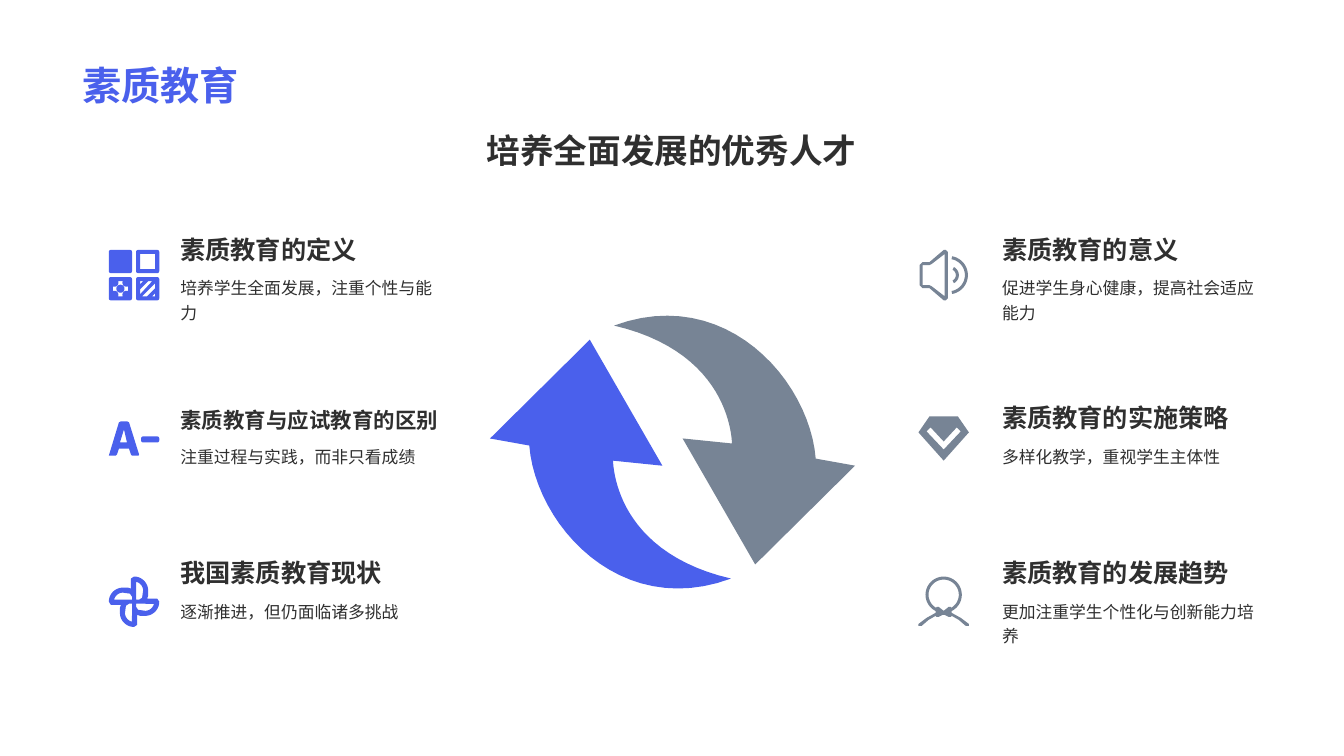
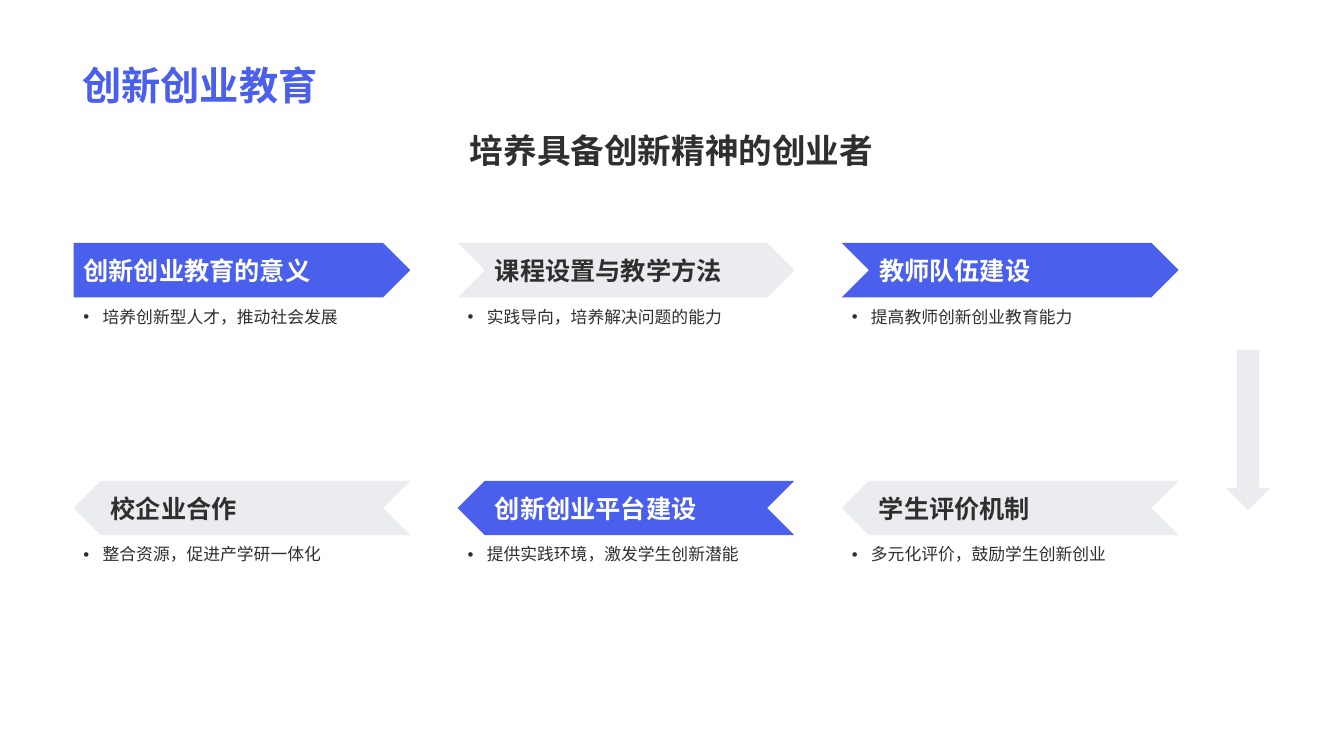
from dataclasses import dataclass
from math import cos, radians, sin

from lxml import etree
from pptx import Presentation
from pptx.dml.color import RGBColor
from pptx.enum.shapes import MSO_SHAPE
from pptx.enum.text import MSO_ANCHOR, PP_ALIGN
from pptx.oxml.ns import qn
from pptx.util import Inches, Pt

TOP, MIDDLE, BOTTOM = MSO_ANCHOR.TOP, MSO_ANCHOR.MIDDLE, MSO_ANCHOR.BOTTOM
LEFT, CENTER = PP_ALIGN.LEFT, PP_ALIGN.CENTER
PENTAGON, CHEVRON = MSO_SHAPE.PENTAGON, MSO_SHAPE.CHEVRON
DOWN_ARROW = MSO_SHAPE.DOWN_ARROW


@dataclass(frozen=True)
class Theme:
    font: str = "Arial"
    blue: RGBColor = RGBColor(0x4A, 0x60, 0xEC)
    slate: RGBColor = RGBColor(0x77, 0x84, 0x95)
    ink: RGBColor = RGBColor(0x2F, 0x2F, 0x2F)
    white: RGBColor = RGBColor(0xFF, 0xFF, 0xFF)
    pale_opacity: int = 15
    title: float = 28
    subtitle: float = 24
    heading: float = 18
    small_heading: float = 15.3
    body: float = 12
    body_spacing: float = 1.2
    tight_spacing: float = 0.85


THEME = Theme()

# Content

QUALITY_TITLE = "素质教育"
QUALITY_SUBTITLE = "培养全面发展的优秀人才"
QUALITY_LEFT = [
    ("tiles", "素质教育的定义", "培养学生全面发展，注重个性与能力"),
    ("grade", "素质教育与应试教育的区别", "注重过程与实践，而非只看成绩"),
    ("pinwheel", "我国素质教育现状", "逐渐推进，但仍面临诸多挑战"),
]
QUALITY_RIGHT = [
    ("speaker", "素质教育的意义", "促进学生身心健康，提高社会适应能力"),
    ("gem", "素质教育的实施策略", "多样化教学，重视学生主体性"),
    ("person", "素质教育的发展趋势", "更加注重学生个性化与创新能力培养"),
]

STARTUP_TITLE = "创新创业教育"
STARTUP_SUBTITLE = "培养具备创新精神的创业者"
STARTUP_STEPS = [
    [("创新创业教育的意义", "培养创新型人才，推动社会发展"),
     ("课程设置与教学方法", "实践导向，培养解决问题的能力"),
     ("教师队伍建设", "提高教师创新创业教育能力")],
    [("校企业合作", "整合资源，促进产学研一体化"),
     ("创新创业平台建设", "提供实践环境，激发学生创新潜能"),
     ("学生评价机制", "多元化评价，鼓励学生创新创业")],
]


# Geometry: an outline is a list of (x, y) points

def arc(cx, cy, radius, start, end, steps=24):
    angles = [radians(start + (end - start) * i / steps) for i in range(steps + 1)]
    return [(cx + radius * cos(a), cy + radius * sin(a)) for a in angles]


def bezier(p0, p1, p2, p3, steps=24):
    """Points on a cubic curve, without its first point."""
    def at(t):
        weights = ((1 - t) ** 3, 3 * t * (1 - t) ** 2, 3 * t * t * (1 - t), t ** 3)
        return tuple(sum(w * p[axis] for w, p in zip(weights, (p0, p1, p2, p3)))
                     for axis in (0, 1))
    return [at(i / steps) for i in range(1, steps + 1)]


def shift(outline, dx, dy):
    return [(x + dx, y + dy) for x, y in outline]


def quarter_turns(outline):
    """The outline at 0, 90, 180 and 270 degrees, clockwise."""
    turns = [outline]
    for _ in range(3):
        turns.append([(-y, x) for x, y in turns[-1]])
    return turns


def mirrored(half):
    """Close a right half with its reflection in the vertical axis."""
    return half + [(-x, y) for x, y in reversed(half)]


def rounded(cx, cy, half_w, half_h, radius=2):
    corners = [(1, 1, 0), (-1, 1, 90), (-1, -1, 180), (1, -1, 270)]
    return [point for sx, sy, angle in corners
            for point in arc(cx + sx * (half_w - radius), cy + sy * (half_h - radius),
                             radius, angle, angle + 90, 4)]


def wave(cx, outer, inner, angle):
    return arc(cx, 0, outer, -angle, angle) + arc(cx, 0, inner, angle, -angle)


# Icons, in hundredths of an inch around their centre; inner outlines are holes

def tiles_icon():
    off, inset = 13.5, 7.5
    tiles = [rounded(x, y, 11.5, 11.5) for x in (-off, off) for y in (-off, off)]
    window = [(-inset, -inset), (inset, -inset), (inset, inset), (-inset, inset)]
    bites = quarter_turns(arc(-6, -6, 4, 113, -23, 8))
    flower = [point for bite in bites for point in bite]
    stripes = [
        [(7.5, 4.5), (4.5, 7.5), (7.5, 7.5)],
        [(7.5, -5.5), (-5.5, 7.5), (-0.5, 7.5), (7.5, -0.5)],
        [(0.5, -7.5), (-7.5, 0.5), (-7.5, 5.5), (4.5, -7.5)],
        [(-7.5, -7.5), (-7.5, -4.5), (-4.5, -7.5)],
    ]
    return (tiles + [shift(window, off, -off), shift(flower, -off, off),
                     arc(-off, off, 4, 0, 360)]
            + [shift(stripe, off, off) for stripe in stripes])


def grade_icon():
    letter = [(-25, 17), (-15, -16), (-13, -17), (-7, -17), (-5, -16), (5, 16),
              (4.5, 17), (-2, 17), (-3, 16), (-5, 10), (-15, 10), (-17, 16), (-18, 17)]
    counter = [(-7, 4), (-10, -9), (-14, 4)]
    return [letter, counter, rounded(16, 1, 9, 3)]


def pinwheel_icon():
    blade = ([(-3, -13), (-3, -23), (0, -25)] + arc(0, -11, 14, -90, 0)
             + [(14, -6), (13, -3)])
    hole = [(2, -2), (5, -2), (8, -4)] + arc(0, -11, 9, 0, -77)
    rim = [point for turn in quarter_turns(blade) for point in turn]
    return [rim] + quarter_turns(hole)


def speaker_icon():
    cone = [(2, -25), (0, -25), (-14, -13), (-21, -13), (-24, -10), (-24, 10),
            (-21, 13), (-14, 13), (0, 25), (2, 25), (4, 23), (4, -23)]
    hollow = [(1, 21), (-12, 11), (-14, 10), (-21, 10), (-21, -10), (-14, -10),
              (-12, -11), (1, -21)]
    return [cone, hollow, wave(6, 9, 6, 63), wave(5, 19, 16, 80)]


def gem_icon():
    return [mirrored([(14, -22), (25, -6), (0, 22)]),
            mirrored([(0, 3), (13, -11), (17, -7), (0, 11)])]


def person_icon():
    body = mirrored(arc(0, -7, 18, -90, 64)
                    + [(8, 11), (17, 16), (25, 22), (25, 24), (22, 24), (15, 18),
                       (8, 14), (7, 15), (5, 15), (1, 13)])
    face = mirrored(arc(0, -7, 15, -90, 60) + [(7, 5), (5, 5), (0, 9)])
    return [body, face]


ICONS = {"tiles": tiles_icon, "grade": grade_icon, "pinwheel": pinwheel_icon,
         "speaker": speaker_icon, "gem": gem_icon, "person": person_icon}


# Drawing

def paint(shape, color, opacity=100):
    shape.shadow.inherit = False
    shape.line.fill.background()
    shape.fill.solid()
    shape.fill.fore_color.rgb = color
    if opacity < 100:
        rgb = shape.fill._xPr.find(".//" + qn("a:srgbClr"))
        etree.SubElement(rgb, qn("a:alpha")).set("val", str(opacity * 1000))


def draw_outlines(slide, outlines, color):
    """Fill outlines given in inches as one freeform."""
    outlines = [[(Inches(x), Inches(y)) for x, y in outline] for outline in outlines]
    builder = slide.shapes.build_freeform(*outlines[0][0])
    for outline in outlines:
        if outline is not outlines[0]:
            builder.move_to(*outline[0])
        builder.add_line_segments(outline[1:], close=True)
    paint(builder.convert_to_shape(), color)


def write(shape, text, size, color=THEME.ink, bold=False, anchor=TOP, align=LEFT,
          spacing=None, bullet=False):
    frame = shape.text_frame
    frame.word_wrap = True
    frame.vertical_anchor = anchor
    paragraph = frame.paragraphs[0]
    paragraph.text = text
    paragraph.alignment = align
    if spacing:
        paragraph.line_spacing = spacing
    if bullet:
        props = paragraph._p.get_or_add_pPr()
        props.set("marL", str(Inches(0.19)))
        props.set("indent", str(-Inches(0.19)))
        etree.SubElement(props, qn("a:buFont")).set("typeface", THEME.font)
        etree.SubElement(props, qn("a:buChar")).set("char", "•")
    font = paragraph.font
    font.name, font.size, font.bold = THEME.font, Pt(size), bold
    font.color.rgb = color


def add_text(slide, box, text, size, **style):
    write(slide.shapes.add_textbox(*map(Inches, box)), text, size, **style)


def add_slide(prs, title, subtitle, subtitle_height):
    slide = prs.slides.add_slide(prs.slide_layouts[6])
    add_text(slide, (0.72, 0.14, 11.88, 0.98), title, THEME.title,
             color=THEME.blue, bold=True, anchor=BOTTOM)
    add_text(slide, (0.72, 1.24, 11.88, subtitle_height), subtitle, THEME.subtitle,
             bold=True, align=CENTER)
    return slide


def add_cycle(slide):
    """Two curved arrows, the second a half turn of the first."""
    right = [(8.48, 4.62), (7.49, 5.6), (6.77, 4.35), (7.26, 4.4)]
    right += bezier(right[-1], (7.25, 4.18), (7.12, 3.47), (6.09, 3.23))
    right += bezier(right[-1], (7.2, 2.82), (8.03, 3.78), (8.09, 4.55))
    left = [(13.34 - x, 8.97 - y) for x, y in right]
    draw_outlines(slide, [right], THEME.slate)
    draw_outlines(slide, [left], THEME.blue)


def add_topics(slide, topics, icon_x, text_x, color):
    width, heading_height, detail_height = 2.76, 0.43, 0.68
    for row, (top, (icon, heading, detail)) in enumerate(zip((2.24, 3.91, 5.45), topics)):
        icon_y = 2.73 + 1.62 * row
        outlines = [[(icon_x + x / 100, icon_y + y / 100) for x, y in outline]
                    for outline in ICONS[icon]()]
        draw_outlines(slide, outlines, color)
        is_long = len(heading) > 10
        add_text(slide, (text_x, top, width, heading_height), heading,
                 THEME.small_heading if is_long else THEME.heading, bold=True,
                 anchor=BOTTOM, spacing=THEME.tight_spacing if is_long else None)
        add_text(slide, (text_x, top + heading_height, width, detail_height), detail,
                 THEME.body, spacing=THEME.body_spacing)


def add_steps(slide):
    """Banners that run right in the first row and back left in the second."""
    width, height, detail_height = 3.34, 0.54, 1.11
    for row, steps in enumerate(STARTUP_STEPS):
        for column, (heading, detail) in enumerate(steps):
            left, top = 0.73 + 3.81 * column, 2.41 + 2.36 * row
            is_first = row == column == 0
            is_blue = (row + column) % 2 == 0
            banner = slide.shapes.add_shape(PENTAGON if is_first else CHEVRON,
                                            *map(Inches, (left, top, width, height)))
            if is_blue:
                paint(banner, THEME.blue)
            else:
                paint(banner, THEME.slate, THEME.pale_opacity)
            if row == 1:
                banner._element.spPr.find(qn("a:xfrm")).set("flipH", "1")
            write(banner, heading, THEME.heading, bold=True, anchor=MIDDLE,
                  color=THEME.white if is_blue else THEME.ink)
            add_text(slide, (left, top + height, width, detail_height), detail,
                     THEME.body, spacing=THEME.body_spacing, bullet=True)


def main():
    prs = Presentation()
    prs.slide_width, prs.slide_height = Inches(13.33), Inches(7.5)

    quality = add_slide(prs, QUALITY_TITLE, QUALITY_SUBTITLE, 0.82)
    add_cycle(quality)
    add_topics(quality, QUALITY_LEFT, 1.33, 1.69, THEME.blue)
    add_topics(quality, QUALITY_RIGHT, 9.36, 9.84, THEME.slate)

    startup = add_slide(prs, STARTUP_TITLE, STARTUP_SUBTITLE, 0.5)
    turn = startup.shapes.add_shape(DOWN_ARROW, *map(Inches, (12.16, 3.47, 0.44, 1.59)))
    paint(turn, THEME.slate, THEME.pale_opacity)
    add_steps(startup)

    prs.save("out.pptx")


if __name__ == "__main__":
    main()
